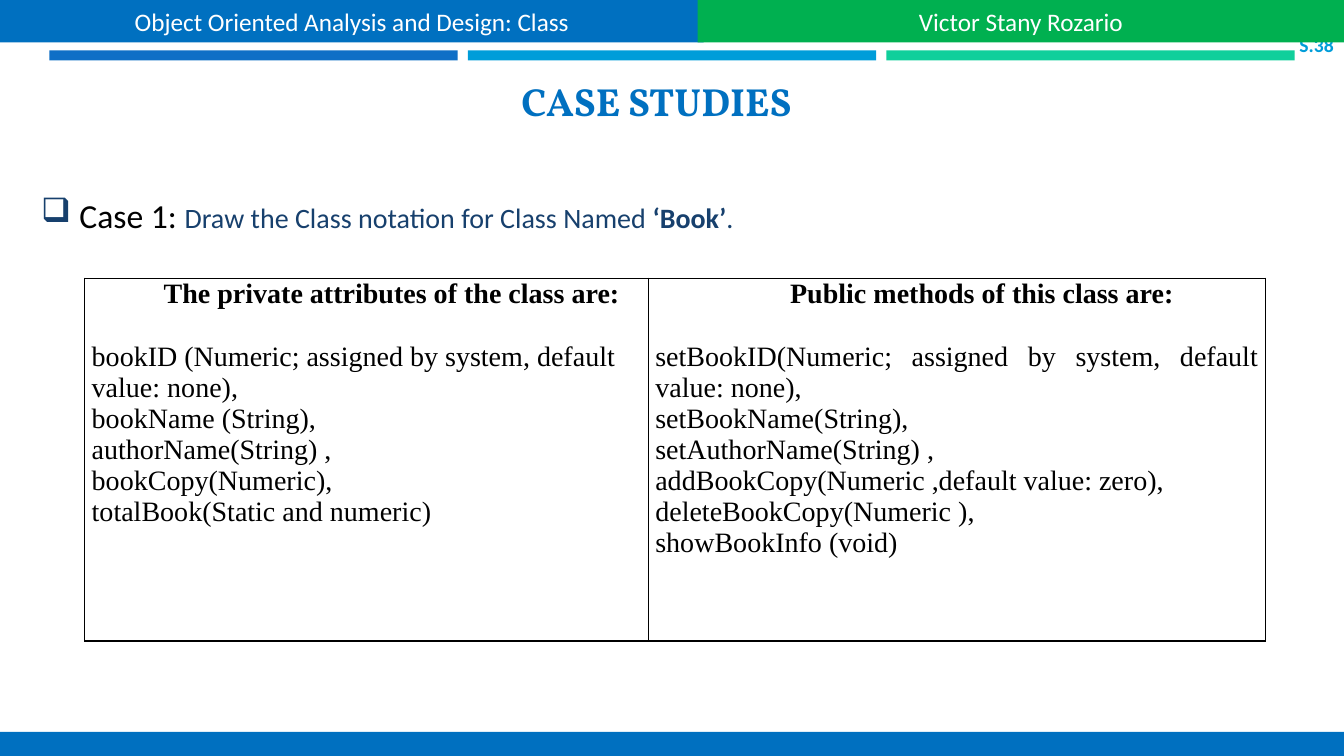
from lxml.etree import SubElement
from pptx import Presentation
from pptx.dml.color import RGBColor
from pptx.enum.shapes import MSO_SHAPE
from pptx.enum.text import MSO_ANCHOR, PP_ALIGN
from pptx.oxml.ns import qn
from pptx.util import Inches, Pt

COLORS = {
    "blue": "0070C0", "green": "00B050", "navy": "17406D",
    "deep": "0F6FC6", "sky": "009DD9", "mint": "10CF9B",
    "black": "000000", "white": "FFFFFF",
}
ATTRIBUTES = [
    "bookID (Numeric; assigned by system, default value: none),",
    "bookName (String),",
    "authorName(String) ,",
    "bookCopy(Numeric),",
    "totalBook(Static and numeric)",
]
METHODS = [
    "setBookID(Numeric; assigned by system, default value: none),",
    "setBookName(String),",
    "setAuthorName(String) ,",
    "addBookCopy(Numeric ,default value: zero),",
    "deleteBookCopy(Numeric ),",
    "showBookInfo (void)",
]


def rgb(name):
    return RGBColor.from_string(COLORS[name])


def add_run(p, text, size, color, font="Calibri", bold=False):
    r = p.add_run()
    r.text = text
    r.font.size = Pt(size)
    r.font.name = font
    r.font.bold = bold
    r.font.color.rgb = rgb(color)


def add_bar(s, x, y, w, h, color, text=None):
    sp = s.shapes.add_shape(MSO_SHAPE.RECTANGLE, Inches(x), Inches(y), Inches(w), Inches(h))
    sp.shadow.inherit = False
    sp.fill.solid()
    sp.fill.fore_color.rgb = rgb(color)
    sp.line.fill.background()
    if text:
        tf = sp.text_frame
        tf.vertical_anchor = MSO_ANCHOR.MIDDLE
        p = tf.paragraphs[0]
        p.alignment = PP_ALIGN.CENTER
        add_run(p, text, 18, "white")


def add_text(s, x, y, w, h, anchor, align):
    tf = s.shapes.add_textbox(Inches(x), Inches(y), Inches(w), Inches(h)).text_frame
    tf.word_wrap = True
    tf.vertical_anchor = anchor
    p = tf.paragraphs[0]
    p.alignment = align
    return tf, p


def add_stripes(s, x, y, w, h, gap):
    for i, color in enumerate(("deep", "sky", "mint")):
        add_bar(s, x + i * (w + gap), y, w, h, color)


def add_page_number(s, x, y, w, h):
    tf, p = add_text(s, x, y, w, h, MSO_ANCHOR.MIDDLE, PP_ALIGN.RIGHT)
    tf.margin_left = tf.margin_right = tf.margin_top = tf.margin_bottom = 0
    add_run(p, "S.38", 14, "sky", bold=True)


def add_header(s, x, y, w, h, split):
    add_bar(s, x, y, split + 0.06, h, "blue", "Object Oriented Analysis and Design: Class")
    add_bar(s, x + split, y, w - split, h, "green", "Victor Stany Rozario")


def add_title(s, x, y, w, h):
    p = add_text(s, x, y, w, h, MSO_ANCHOR.BOTTOM, PP_ALIGN.CENTER)[1]
    add_run(p, "CASE STUDIES", 28, "blue", "Vollkorn", True)


def add_case(s, x, y, w, h):
    p = add_text(s, x, y, w, h, MSO_ANCHOR.MIDDLE, PP_ALIGN.LEFT)[1]
    pPr = p._p.get_or_add_pPr()
    pPr.set("marL", str(Inches(0.38)))
    pPr.set("indent", str(Inches(-0.38)))
    SubElement(SubElement(pPr, qn("a:buClr")), qn("a:srgbClr"), val=COLORS["navy"])
    SubElement(pPr, qn("a:buChar"), char="❑")
    p.line_spacing = 0.8
    add_run(p, "Case 1: ", 24, "black")
    add_run(p, "Draw the Class notation for Class Named ", 20, "navy")
    add_run(p, "‘Book’", 20, "navy", bold=True)
    add_run(p, ".", 20, "navy")


def fill_cell(cell, heading, items, align):
    tcPr = cell._tc.get_or_add_tcPr()
    for side in ("lnL", "lnR", "lnT", "lnB"):
        ln = SubElement(tcPr, qn("a:" + side), w=str(Pt(1)))
        SubElement(SubElement(ln, qn("a:solidFill")), qn("a:srgbClr"), val=COLORS["black"])
    cell.fill.background()
    cell.margin_left = cell.margin_right = Inches(0.07)
    cell.margin_top = cell.margin_bottom = 0
    tf = cell.text_frame
    p = tf.paragraphs[0]
    p.alignment = PP_ALIGN.CENTER
    p._p.get_or_add_pPr().set("marL", str(Inches(0.5)))
    add_run(p, heading, 20, "black", "Times New Roman", True)
    for i, item in enumerate(items):
        p = tf.add_paragraph()
        p.alignment = align
        if i == 0:
            p.space_before = Pt(23)
        add_run(p, item, 20, "black", "Times New Roman")


def add_class_table(s, x, y, widths, h):
    table = s.shapes.add_table(1, len(widths), Inches(x), Inches(y),
                               Inches(sum(widths)), Inches(h)).table
    table.first_row = table.horz_banding = False
    for column, w in zip(table.columns, widths):
        column.width = Inches(w)
    fill_cell(table.cell(0, 0), "The private attributes of the class are:", ATTRIBUTES, PP_ALIGN.LEFT)
    fill_cell(table.cell(0, 1), "Public methods of this class are:", METHODS, PP_ALIGN.JUSTIFY)


def main():
    prs = Presentation()
    prs.slide_width, prs.slide_height = Inches(13.33), Inches(7.5)
    s = prs.slides.add_slide(prs.slide_layouts[6])
    add_stripes(s, 0.49, 0.5, 4.05, 0.1, 0.1)
    add_title(s, 0.48, 0.64, 12.06, 0.64)
    add_case(s, 0.31, 1.92, 12.9, 0.5)
    add_page_number(s, 12.7, 0.34, 0.53, 0.21)
    add_header(s, 0, 0, 13.33, 0.42, 6.92)
    add_bar(s, 0, 7.26, 13.33, 0.24, "blue")
    add_class_table(s, 0.84, 2.76, (5.59, 6.12), 3.6)
    prs.save("out.pptx")


if __name__ == "__main__":
    main()
